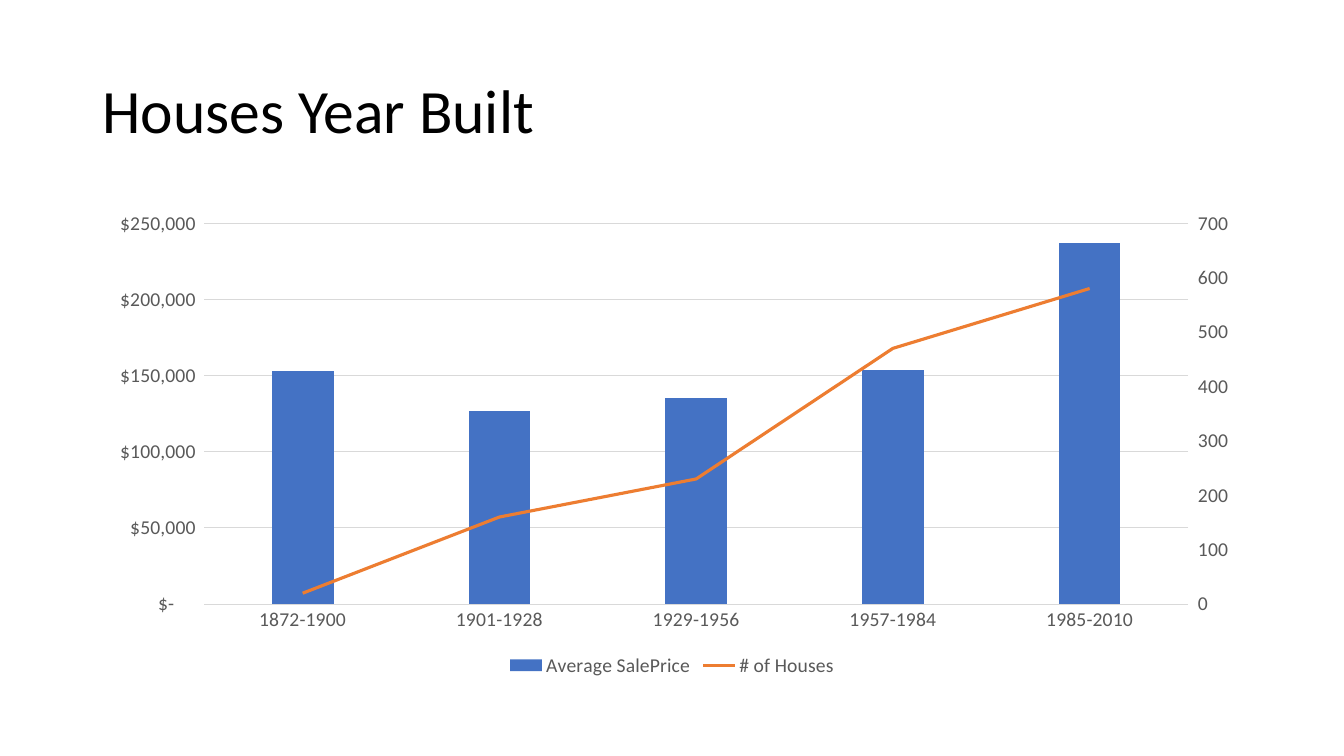
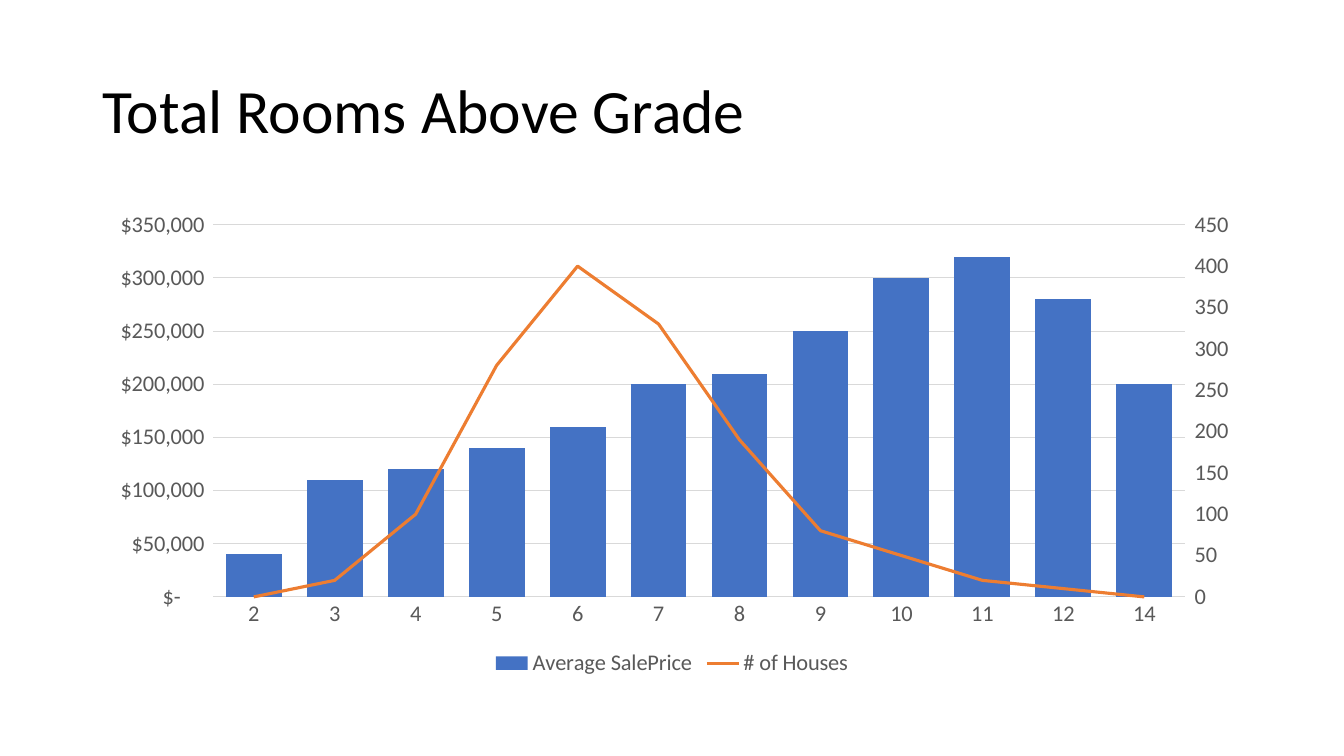
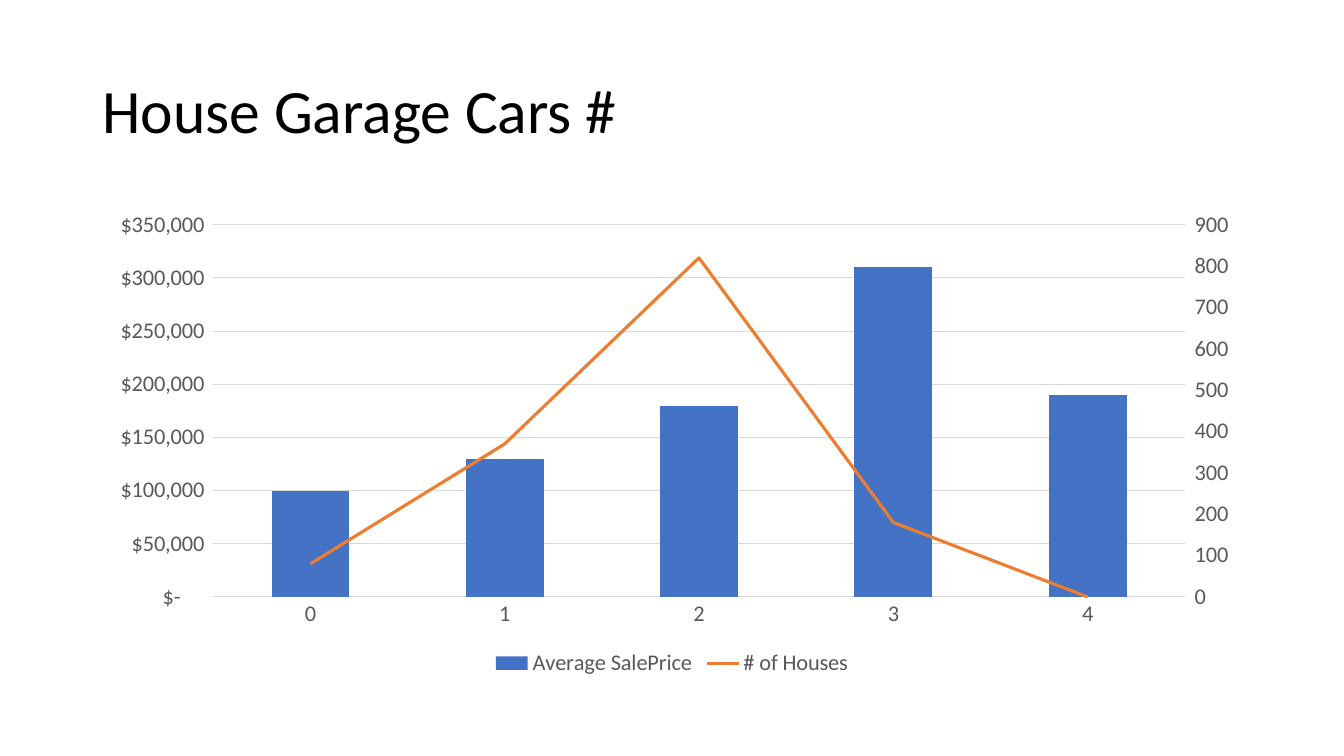
"""Build three slides that compare average sale prices with house counts."""
from copy import deepcopy

from pptx import Presentation
from pptx.chart.axis import CategoryAxis, ValueAxis
from pptx.chart.data import CategoryChartData
from pptx.dml.color import RGBColor
from pptx.enum.chart import XL_CHART_TYPE, XL_LEGEND_POSITION, XL_MARKER_STYLE, XL_TICK_MARK
from pptx.enum.text import MSO_ANCHOR
from pptx.oxml import parse_xml
from pptx.oxml.ns import nsdecls
from pptx.util import Pt

BLACK = RGBColor(0x00, 0x00, 0x00)
GRAY = RGBColor(0x59, 0x59, 0x59)
LIGHT_GRAY = RGBColor(0xD9, 0xD9, 0xD9)
BLUE = RGBColor(0x44, 0x72, 0xC4)
ORANGE = RGBColor(0xED, 0x7D, 0x31)
FONT = "Calibri"
LEFT, WIDTH = Pt(66), Pt(828)
DOLLARS = '_("$"* #,##0_);_("$"* \\(#,##0\\);_("$"* "-"??_);_(@_)'
LINE_CHART = (
    f'<c:lineChart {nsdecls("c")}><c:grouping val="standard"/><c:varyColors val="0"/>'
    '<c:marker val="1"/><c:axId val="5001"/><c:axId val="5002"/></c:lineChart>'
)

PAGES = [
    {
        "title": "Houses Year Built",
        "categories": ["1872-1900", "1901-1928", "1929-1956", "1957-1984", "1985-2010"],
        "prices": [153000, 127000, 135000, 154000, 237000],
        "houses": [20, 160, 230, 470, 580],
        "price_top": 250000, "house_top": 700, "house_step": 100,
        "size": 14, "gap": 219, "overlap": -27,
    },
    {
        "title": "Total Rooms Above Grade",
        "categories": ["2", "3", "4", "5", "6", "7", "8", "9", "10", "11", "12", "14"],
        "prices": [40000, 110000, 120000, 140000, 160000, 200000,
                   210000, 250000, 300000, 320000, 280000, 200000],
        "houses": [0, 20, 100, 280, 400, 330, 190, 80, 50, 20, 10, 0],
        "price_top": 350000, "house_top": 450, "house_step": 50,
        "size": 16, "gap": 45, "overlap": -27,
    },
    {
        "title": "House Garage Cars #",
        "categories": ["0", "1", "2", "3", "4"],
        "prices": [100000, 130000, 180000, 310000, 190000],
        "houses": [80, 370, 820, 180, 0],
        "price_top": 350000, "house_top": 900, "house_step": 100,
        "size": 16, "gap": 150, "overlap": 0,
    },
]


def style_font(font, size, color):
    font.name = FONT
    font.size = Pt(size)
    font.color.rgb = color


def scale_axis(axis, top, step, number_format):
    axis.minimum_scale, axis.maximum_scale, axis.major_unit = 0, top, step
    axis.tick_labels.number_format = number_format
    axis.tick_labels.number_format_is_linked = False


deck = Presentation()
deck.slide_width, deck.slide_height = Pt(960), Pt(540)

for content in PAGES:
    page = deck.slides.add_slide(deck.slide_layouts[6])

    box = page.shapes.add_textbox(LEFT, Pt(28.8), WIDTH, Pt(104.4))
    box.text_frame.word_wrap = True
    box.text_frame.vertical_anchor = MSO_ANCHOR.MIDDLE
    para = box.text_frame.paragraphs[0]
    para.line_spacing = 0.9
    span = para.add_run()
    span.text = content["title"]
    style_font(span.font, 44, BLACK)

    data = CategoryChartData()
    data.categories = content["categories"]
    data.add_series("Average SalePrice", content["prices"])
    data.add_series("# of Houses", content["houses"])
    chart = page.shapes.add_chart(
        XL_CHART_TYPE.COLUMN_CLUSTERED, LEFT, Pt(144), WIDTH, Pt(342.72), data
    ).chart
    chart.has_title = False
    chart.has_legend = True
    chart.legend.position = XL_LEGEND_POSITION.BOTTOM
    chart.legend.include_in_layout = False

    category_axis, price_axis = chart.category_axis, chart.value_axis
    for part in (chart, chart.legend, category_axis.tick_labels, price_axis.tick_labels):
        style_font(part.font, content["size"], GRAY)
    category_axis.major_tick_mark = XL_TICK_MARK.NONE
    price_axis.major_tick_mark = XL_TICK_MARK.NONE
    price_axis.has_major_gridlines = True
    for line in (category_axis.format.line, price_axis.major_gridlines.format.line):
        line.color.rgb = LIGHT_GRAY
        line.width = Pt(0.75)
    price_axis.format.line.fill.background()
    scale_axis(price_axis, content["price_top"], 50000, DOLLARS)

    columns = chart.plots[0]
    columns.vary_by_categories = False
    columns.gap_width = content["gap"]
    columns.overlap = content["overlap"]
    columns.series[0].format.fill.solid()
    columns.series[0].format.fill.fore_color.rgb = BLUE

    bar_chart = chart.element.xpath(".//c:barChart")[0]
    house_series = bar_chart.xpath("c:ser")[1]
    for flag in house_series.xpath("c:invertIfNegative"):
        house_series.remove(flag)
    line_chart = parse_xml(LINE_CHART)
    line_chart.xpath("c:marker")[0].addprevious(house_series)
    bar_chart.addnext(line_chart)
    houses = chart.plots[1].series[0]
    houses.smooth = False
    houses.marker.style = XL_MARKER_STYLE.NONE
    houses.format.line.color.rgb = ORANGE
    houses.format.line.width = Pt(2.25)

    category_xml = chart.element.xpath(".//c:catAx")[0]
    price_xml = chart.element.xpath(".//c:valAx")[0]
    hidden_xml, house_xml = deepcopy(category_xml), deepcopy(price_xml)
    for axis_xml, own, other in ((hidden_xml, "5001", "5002"), (house_xml, "5002", "5001")):
        axis_xml.xpath("c:axId")[0].set("val", own)
        axis_xml.xpath("c:crossAx")[0].set("val", other)
    house_xml.xpath("c:axPos")[0].set("val", "r")
    house_xml.xpath("c:crosses")[0].set("val", "max")
    price_xml.addnext(house_xml)
    house_xml.addnext(hidden_xml)
    CategoryAxis(hidden_xml).visible = False
    house_axis = ValueAxis(house_xml)
    house_axis.has_major_gridlines = False
    house_axis.major_tick_mark = XL_TICK_MARK.OUTSIDE
    scale_axis(house_axis, content["house_top"], content["house_step"], "General")

deck.save("out.pptx")
